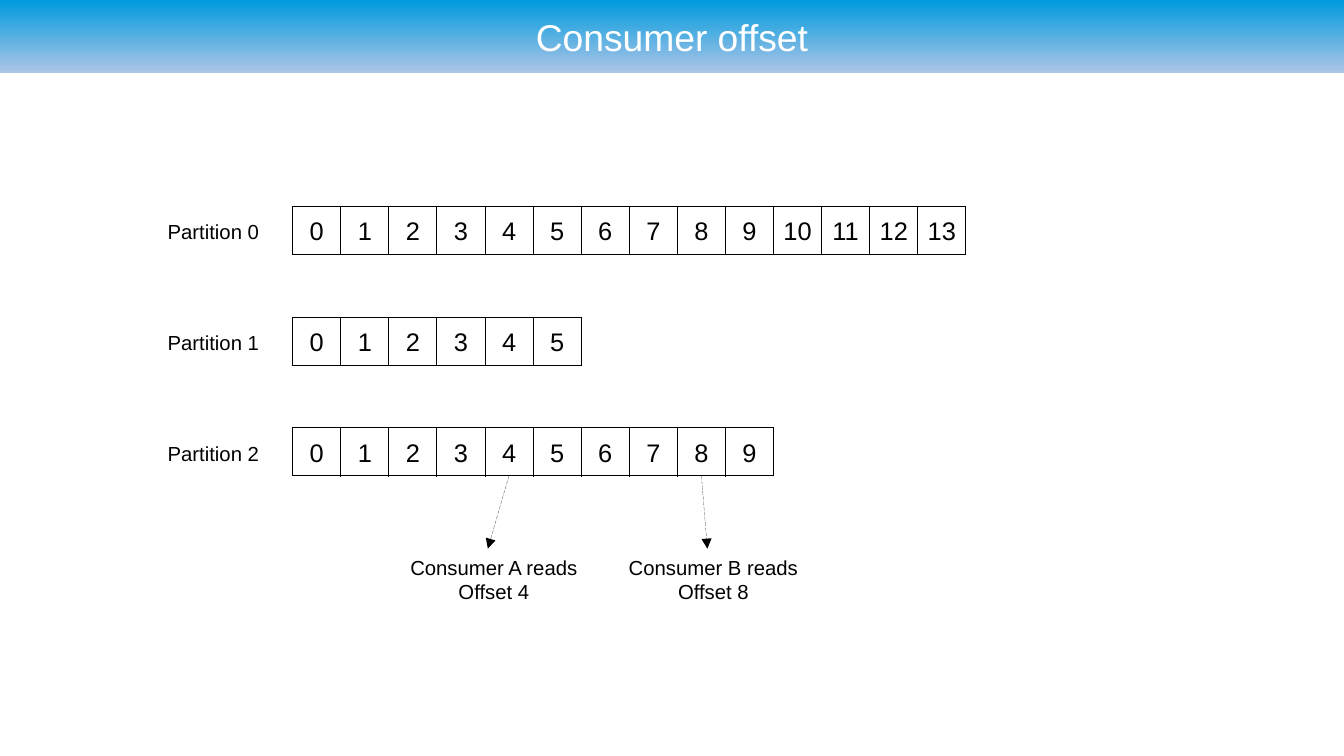
from lxml import etree
from pptx import Presentation
from pptx import util as u
from pptx.dml.color import RGBColor
from pptx.enum import dml, shapes, text
from pptx.oxml.ns import qn

BLACK = RGBColor(0x00, 0x00, 0x00)
WHITE = RGBColor(0xFF, 0xFF, 0xFF)
BLUE = RGBColor(0x00, 0x9B, 0xDD)
PALE = RGBColor(0xAD, 0xC5, 0xE7)

HAIR = u.Emu(1)  # a width of 0 would fall back to the theme's line
WIDTH = u.Inches(11.02)
LEFT = u.Inches(2.4)
CELL = u.Inches(5.52) // 14  # the longest partition has 14 cells
TOP = u.Inches(1.69)
STEP = u.Inches(0.91)
COUNTS = (14, 6, 10)
READERS = (("A", 4, 3.3), ("B", 8, 5.1))  # name, offset, label left


def write(parent, words, x, y, w, h, size=12, color=BLACK):
    """Add centred text without margins, one paragraph per line."""
    frame = parent.add_textbox(x, y, w, h).text_frame
    frame.word_wrap = True
    frame.margin_left = frame.margin_right = 0
    frame.margin_top = frame.margin_bottom = 0
    frame.vertical_anchor = text.MSO_ANCHOR.MIDDLE
    frame.text = words
    for para in frame.paragraphs:
        para.alignment = text.PP_ALIGN.CENTER
        font = para.runs[0].font
        font.name, font.size = "Arial", u.Pt(size)
        font.color.rgb = color


def rule(parent, x1, y1, x2, y2, arrow=False):
    """Add a hairline, or a dashed arrow."""
    link = parent.add_connector(shapes.MSO_CONNECTOR.STRAIGHT, x1, y1, x2, y2)
    link.line.color.rgb = BLACK
    link.line.width = HAIR
    props = link._element.spPr
    if arrow:
        link.line.dash_style = dml.MSO_LINE.SQUARE_DOT
        etree.SubElement(props.find(qn("a:ln")), qn("a:tailEnd"), type="triangle")
    etree.SubElement(props, qn("a:effectLst"))


def banner(slide, x, y, w, h):
    bar = slide.shapes.add_shape(shapes.MSO_SHAPE.RECTANGLE, x, y, w, h)
    bar.shadow.inherit = False
    bar.line.fill.background()
    bar.fill.gradient()
    bar.fill.gradient_angle = 90
    for stop, color, place in zip(bar.fill.gradient_stops, (PALE, BLUE), (0, 1)):
        stop.color.rgb = color
        stop.position = place
    write(slide.shapes, "Consumer offset", x, y, w, h, size=22, color=WHITE)


def partition(slide, index, count, x, y):
    # Label to the left of the row
    write(slide.shapes, f"Partition {index}", x - u.Inches(1.1),
          y + u.Inches(0.06), u.Inches(0.9), u.Inches(0.3))
    # Numbered cells with dividers, inside one frame
    row = slide.shapes.add_group_shape().shapes
    for n in range(count):
        left = x + n * CELL
        write(row, str(n), left, y, CELL, CELL, size=15)
        if n:
            rule(row, left, y, left, y + CELL)
    frame = row.add_shape(shapes.MSO_SHAPE.RECTANGLE, x, y, count * CELL, CELL)
    frame.shadow.inherit = False
    frame.fill.background()
    frame.line.color.rgb = BLACK
    frame.line.width = HAIR


def reader(slide, name, offset, x, y):
    """Label at x, with an arrow from the foot (y) of the cell it reads."""
    write(slide.shapes, f"Consumer {name} reads\nOffset {offset}",
          x, y + u.Inches(0.6), u.Inches(1.5), u.Inches(0.5))
    start = LEFT + offset * CELL + CELL // 2
    rule(slide.shapes, start, y, x + u.Inches(0.7), y + u.Inches(0.6), arrow=True)


def main():
    deck = Presentation()
    deck.slide_width, deck.slide_height = WIDTH, u.Inches(6.2)
    slide = deck.slides.add_slide(deck.slide_layouts[6])
    banner(slide, 0, 0, WIDTH, u.Inches(0.6))
    for index, count in enumerate(COUNTS):
        partition(slide, index, count, LEFT, TOP + index * STEP)
    for name, offset, left in READERS:
        reader(slide, name, offset, u.Inches(left), u.Inches(3.9))
    deck.save("out.pptx")


if __name__ == "__main__":
    main()
